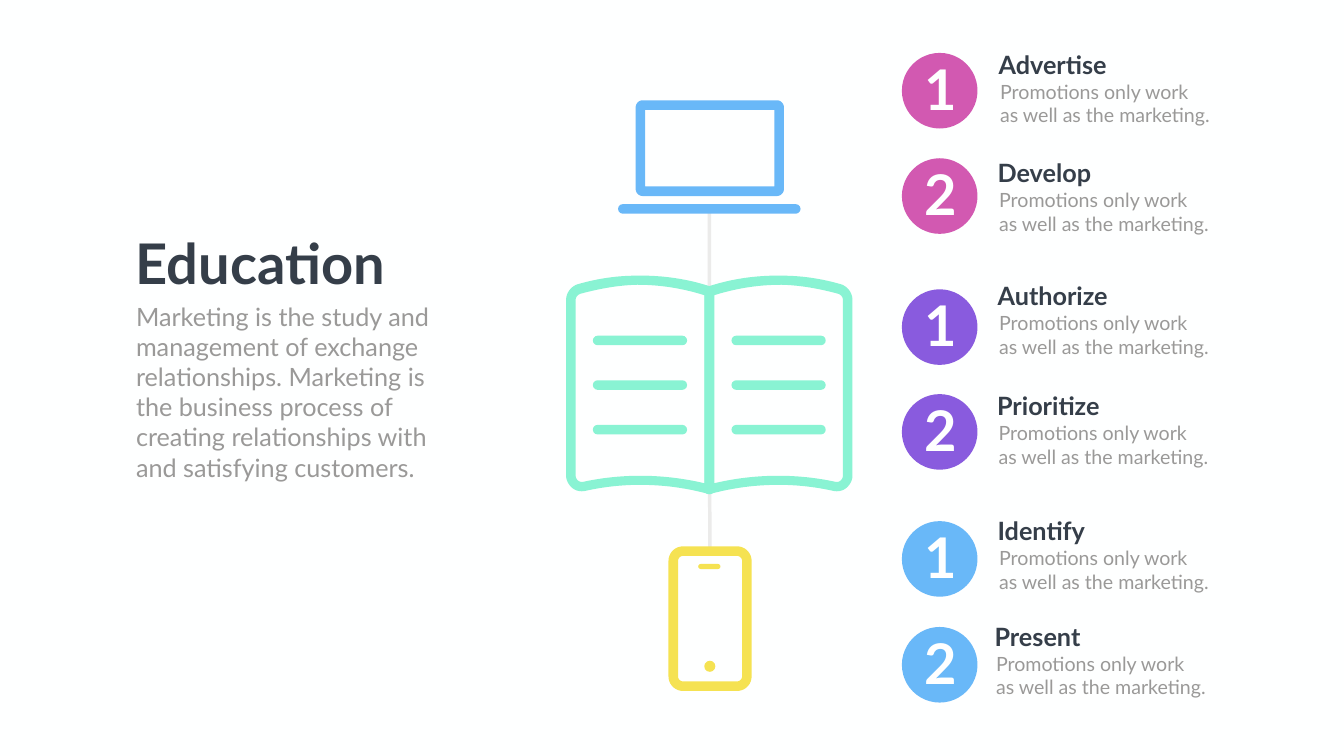
import math
from dataclasses import dataclass

from lxml import etree
from pptx import Presentation, util as u
from pptx.dml.color import RGBColor
from pptx.enum import shapes, text
from pptx.oxml import ns


@dataclass(frozen=True)
class Theme:
    """Colours, font and type sizes of the slide."""
    font: str = "Lato"
    paper: str = "FEFFFF"
    ink: str = "353E49"
    grey: str = "9A9998"
    rule: str = "EBEBEA"
    pink: str = "D259B1"
    purple: str = "895BDE"
    blue: str = "69B8F8"
    mint: str = "89F3D3"
    yellow: str = "F5E252"
    display: int = 80
    heading: int = 36
    body: int = 28


def curve(start, *segments):
    """Return a contour of straight (one point) and cubic (three point) segments."""
    points = [start]
    for segment in segments:
        if len(segment) == 1:
            points.append(segment[0])
            continue
        corners = (points[-1], *segment)
        for step in range(1, 13):
            t = step / 12
            weights = ((1 - t) ** 3, 3 * t * (1 - t) ** 2, 3 * t * t * (1 - t), t ** 3)
            points.append(tuple(sum(w * c[axis] for w, c in zip(weights, corners))
                                for axis in (0, 1)))
    return points


def rounded(left, top, width, height, radius):
    """Return the contour of a rounded rectangle."""
    right, bottom = left + width - radius, top + height - radius
    centres = ((right, bottom), (left + radius, bottom),
               (left + radius, top + radius), (right, top + radius))
    return [(x + radius * math.cos(math.radians(angle)), y + radius * math.sin(math.radians(angle)))
            for corner, (x, y) in enumerate(centres)
            for angle in range(90 * corner, 90 * corner + 91, 10)]


class SlideBuilder:
    """Holds the theme and the current slide."""

    def __init__(self, presentation, theme):
        self.theme = theme
        self.slide = presentation.slides.add_slide(presentation.slide_layouts[5])
        self.slide.background.fill.solid()
        self.slide.background.fill.fore_color.rgb = RGBColor.from_string(theme.paper)

    def paint(self, shape, colour):
        shape.shadow.inherit = False
        shape.fill.solid()
        shape.fill.fore_color.rgb = RGBColor.from_string(colour)
        shape.line.fill.background()

    def preset(self, kind, left, top, width, height, colour):
        shape = self.slide.shapes.add_shape(kind, *map(u.Inches, (left, top, width, height)))
        self.paint(shape, colour)
        return shape

    def oval(self, *box_and_colour):
        self.preset(shapes.MSO_SHAPE.OVAL, *box_and_colour)

    def bar(self, *box_and_colour):
        self.preset(shapes.MSO_SHAPE.ROUNDED_RECTANGLE, *box_and_colour).adjustments[0] = 0.5

    def outline(self, contours, colour):
        contours = [[(u.Inches(x), u.Inches(y)) for x, y in contour] for contour in contours]
        builder = self.slide.shapes.build_freeform(*contours[0][0])
        for index, contour in enumerate(contours):
            if index:
                builder.move_to(*contour[0])
            builder.add_line_segments(contour[1:], close=True)
        self.paint(builder.convert_to_shape(), colour)

    def frame(self, left, top, width, height, wall, outer, inner, colour):
        hole = rounded(left + wall, top + wall, width - 2 * wall, height - 2 * wall, inner)
        self.outline([rounded(left, top, width, height, outer), hole], colour)

    def line(self, start, end, colour, weight):
        connector = self.slide.shapes.add_connector(
            shapes.MSO_CONNECTOR.STRAIGHT, *map(u.Inches, (*start, *end)))
        connector.line.color.rgb = RGBColor.from_string(colour)
        connector.line.width = u.Pt(weight)
        properties = connector._element.find(ns.qn("p:spPr"))
        etree.SubElement(properties, ns.qn("a:effectLst"))

    def fill_text(self, shape, lines, size, colour, bold=False, wrap=True,
                  align=text.PP_ALIGN.LEFT):
        frame = shape.text_frame
        frame.word_wrap = wrap
        frame.auto_size = text.MSO_AUTO_SIZE.SHAPE_TO_FIT_TEXT
        frame.vertical_anchor = text.MSO_ANCHOR.TOP
        for index, line in enumerate(lines):
            paragraph = frame.add_paragraph() if index else frame.paragraphs[0]
            paragraph.alignment = align
            run = paragraph.add_run()
            run.text = line
            run.font.name = self.theme.font
            run.font.size = u.Pt(size)
            run.font.bold = bold
            run.font.color.rgb = RGBColor.from_string(colour)

    def title(self, left, top, width, height, words):
        shape = self.slide.shapes.title
        shape.left, shape.top, shape.width, shape.height = map(
            u.Inches, (left, top, width, height))
        self.fill_text(shape, [words], self.theme.display, self.theme.ink, bold=True, wrap=False)

    def text(self, left, top, width, height, lines, size, colour, **style):
        shape = self.slide.shapes.add_textbox(*map(u.Inches, (left, top, width, height)))
        self.fill_text(shape, lines, size, colour, **style)

    def step(self, number, name, colour, circle_top, left, top):
        theme = self.theme
        self.oval(17.89, circle_top, 1.5, 1.5, colour)
        self.text(18.23, circle_top - 0.02, 0.85, 1.45, [str(number)], theme.display,
                  theme.paper, bold=True, wrap=False, align=text.PP_ALIGN.CENTER)
        self.text(left, top, 2.61, 0.71, [name], theme.heading, theme.ink, bold=True)
        self.text(left + 0.03, top + 0.61, 4.51, 1.04,
                  ["Promotions only work", "as well as the marketing."], theme.body, theme.grey)

    def phone(self):
        colour = self.theme.yellow
        self.frame(13.26, 10.84, 1.65, 2.87, 0.19, 0.29, 0.1, colour)
        self.oval(13.97, 13.11, 0.22, 0.22, colour)
        self.bar(13.85, 11.19, 0.44, 0.1, colour)

    def laptop(self):
        colour = self.theme.blue
        self.frame(12.61, 1.99, 2.94, 1.9, 0.19, 0.14, 0, colour)
        self.bar(12.26, 4.05, 3.62, 0.19, colour)

    def book(self):
        colour, spine = self.theme.mint, 14.07
        cover = curve(
            (14.05, 9.8), [(13.61, 9.68), (13.16, 9.62), (12.7, 9.62)],
            [(12.33, 9.62), (11.97, 9.66), (11.61, 9.74)],
            [(11.52, 9.76), (11.42, 9.74), (11.35, 9.68)],
            [(11.28, 9.62), (11.23, 9.53), (11.23, 9.44)], [(11.23, 5.95)],
            [(11.23, 5.81), (11.33, 5.68), (11.46, 5.64)],
            [(11.84, 5.53), (12.23, 5.47), (12.63, 5.47)],
            [(13.13, 5.46), (13.63, 5.53), (14.11, 5.69)],
            [(14.14, 5.72), (14.17, 5.74), (14.17, 5.79)], [(14.17, 9.71)],
            [(14.17, 9.77), (14.12, 9.82), (14.05, 9.8)])
        paper = curve(
            (12.7, 9.44), [(13.13, 9.44), (13.56, 9.49), (13.98, 9.59)], [(13.98, 5.86)],
            [(13.54, 5.72), (13.09, 5.65), (12.64, 5.65)],
            [(12.25, 5.66), (11.88, 5.73), (11.51, 5.83)],
            [(11.46, 5.85), (11.42, 5.89), (11.42, 5.95)], [(11.42, 9.44)],
            [(11.42, 9.51), (11.49, 9.58), (11.57, 9.56)],
            [(11.94, 9.48), (12.32, 9.44), (12.7, 9.44)])
        page = [cover, paper]
        self.outline(page, colour)
        self.outline([[(2 * spine - x, y) for x, y in contour] for contour in page], colour)
        for left in (14.51, 11.76):
            for row in range(3):
                self.bar(left, 6.66 + 0.885 * row, 1.87, 0.19, colour)


def main():
    """Build the education slide."""
    presentation = Presentation()
    presentation.slide_width, presentation.slide_height = u.Inches(26.66), u.Inches(15)
    theme = Theme()
    builder = SlideBuilder(presentation, theme)
    builder.line((14.07, 4.15), (14.08, 10.89), theme.rule, 5)
    builder.phone()
    builder.laptop()
    builder.book()
    builder.title(2.59, 4.49, 5.24, 1.45, "Education")
    builder.text(2.6, 5.92, 6.54, 3.74, [
        "Marketing is the study and management of exchange relationships. "
        "Marketing is the business process of creating relationships with "
        "and satisfying customers."], theme.heading, theme.grey)
    for step in (
            (1, "Advertise", theme.pink, 1.05, 19.71, 0.92),
            (2, "Develop", theme.pink, 3.14, 19.69, 3.07),
            (1, "Authorize", theme.purple, 5.74, 19.69, 5.51),
            (2, "Prioritize", theme.purple, 7.82, 19.68, 7.7),
            (1, "Identify", theme.blue, 10.34, 19.69, 10.18),
            (2, "Present", theme.blue, 12.44, 19.63, 12.27)):
        builder.step(*step)
    presentation.save("out.pptx")


if __name__ == "__main__":
    main()
